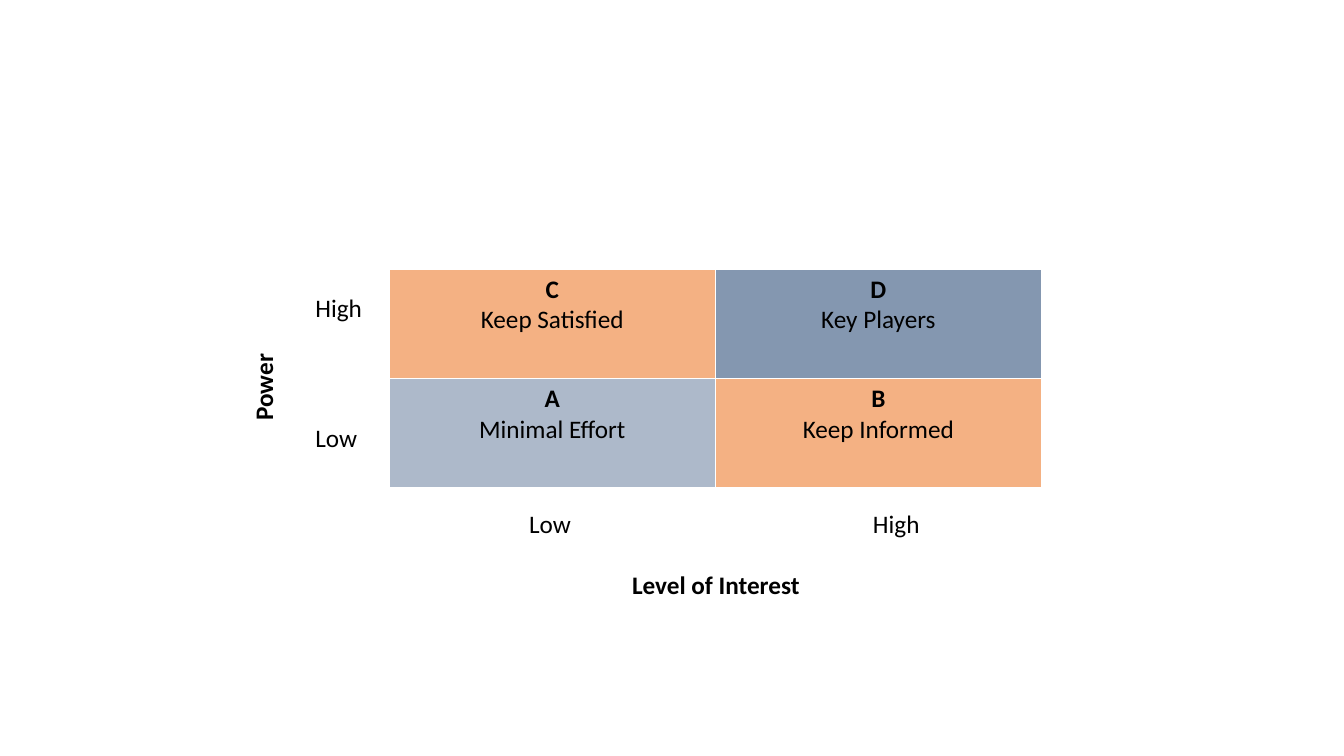
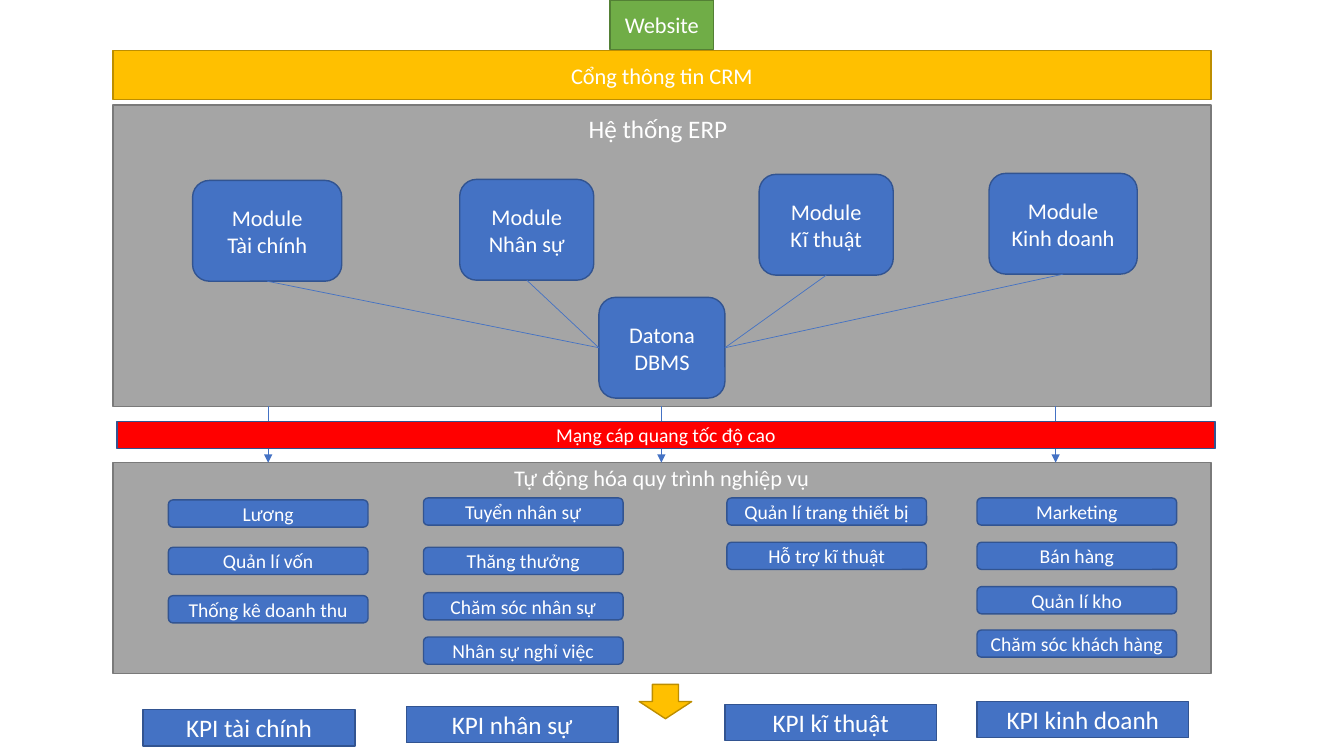
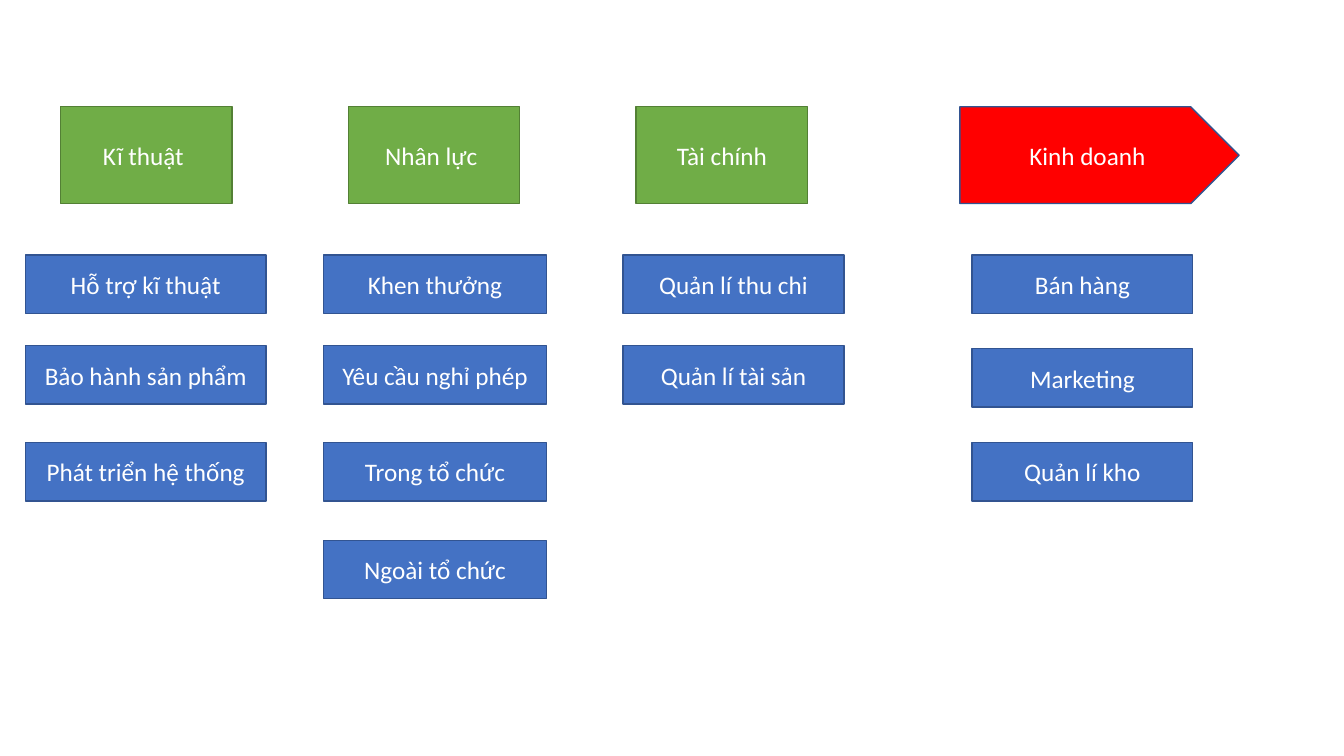
import pptx
import pptx.util
import pptx.dml.color
import pptx.enum.shapes
import pptx.enum.text
import pptx.oxml
import pptx.oxml.ns

Inches, Pt = pptx.util.Inches, pptx.util.Pt
RGBColor = pptx.dml.color.RGBColor
SHAPES = pptx.enum.shapes.MSO_SHAPE
CENTER = pptx.enum.text.PP_ALIGN.CENTER
STRAIGHT = pptx.enum.shapes.MSO_CONNECTOR.STRAIGHT

FONT = "Calibri"
BLACK = RGBColor(0x00, 0x00, 0x00)
WHITE = RGBColor(0xFF, 0xFF, 0xFF)
BLUE = RGBColor(0x44, 0x72, 0xC4)
RED = RGBColor(0xFF, 0x00, 0x00)
GREEN = RGBColor(0x70, 0xAD, 0x47)
GOLD = RGBColor(0xFF, 0xC0, 0x00)
GRAY = RGBColor(0xA5, 0xA5, 0xA5)
ORANGE = RGBColor(0xF4, 0xB1, 0x83)
SLATE = RGBColor(0x84, 0x97, 0xB0)
PALE_SLATE = RGBColor(0xAD, 0xB9, 0xCA)
DARK_BLUE = RGBColor(0x32, 0x54, 0x91)
OUTLINES = {
    BLUE: DARK_BLUE,
    RED: DARK_BLUE,
    GREEN: RGBColor(0x53, 0x80, 0x35),
    GOLD: RGBColor(0xBD, 0x8E, 0x00),
    GRAY: RGBColor(0x7A, 0x7A, 0x7A),
}


def add_box(slide, kind, left, top, width, height, fill, text="", size=18):
    shape = slide.shapes.add_shape(
        kind, Inches(left), Inches(top), Inches(width), Inches(height))
    shape.shadow.inherit = False
    shape.fill.solid()
    shape.fill.fore_color.rgb = fill
    shape.line.color.rgb = OUTLINES[fill]
    shape.line.width = Pt(1)
    shape.text_frame.text = text
    for paragraph in shape.text_frame.paragraphs:
        paragraph.alignment = CENTER
        paragraph.font.name = FONT
        paragraph.font.size = Pt(size)
        paragraph.font.color.rgb = WHITE
    return shape


def add_label(slide, left, top, width, text, color, size=18, bold=False):
    label = slide.shapes.add_textbox(
        Inches(left), Inches(top), Inches(width), Inches(0.4))
    label.text_frame.word_wrap = True
    paragraph = label.text_frame.paragraphs[0]
    paragraph.text = text
    paragraph.font.name = FONT
    paragraph.font.size = Pt(size)
    paragraph.font.bold = bold
    paragraph.font.color.rgb = color
    return label


presentation = pptx.Presentation()
presentation.slide_width = Inches(13.33)
presentation.slide_height = Inches(7.5)
blank_layout = presentation.slide_layouts[6]

# Slide 1: power and interest matrix
slide = presentation.slides.add_slide(blank_layout)
matrix = slide.shapes.add_table(
    2, 2, Inches(3.86), Inches(2.67), Inches(6.47), Inches(2.17)).table
matrix.horz_banding = False
quadrants = [
    [("C", "Keep Satisfied", ORANGE), ("D", "Key Players", SLATE)],
    [("A", "Minimal Effort", PALE_SLATE), ("B", "Keep Informed", ORANGE)],
]
for row, quadrant_row in enumerate(quadrants):
    for column, (letter, strategy, fill) in enumerate(quadrant_row):
        cell = matrix.cell(row, column)
        cell.fill.solid()
        cell.fill.fore_color.rgb = fill
        cell.text = f"{letter}\n{strategy}"
        for paragraph, bold in zip(cell.text_frame.paragraphs, (True, False)):
            paragraph.alignment = CENTER
            paragraph.font.name = FONT
            paragraph.font.size = Pt(18)
            paragraph.font.bold = bold
            paragraph.font.color.rgb = BLACK

# Axis labels
for left, top, width, text in [
    (5.15, 4.99, 0.65, "Low"),
    (8.56, 4.99, 1.09, "High"),
    (3.03, 4.14, 0.65, "Low"),
    (3.03, 2.85, 1.09, "High"),
]:
    add_label(slide, left, top, width, text, BLACK)
add_label(slide, 6.17, 5.6, 4.45, "Level of Interest", BLACK, bold=True)
power_label = add_label(slide, 1.9, 3.36, 1.42, "Power", BLACK, bold=True)
power_label.rotation = 270

# Slide 2: system architecture
slide = presentation.slides.add_slide(blank_layout)
PANEL_LEFT, PANEL_WIDTH = 1.12, 10.89
add_box(slide, SHAPES.RECTANGLE, PANEL_LEFT, 0.5, PANEL_WIDTH, 0.49, GOLD,
        "Cổng thông tin CRM", 16)
add_box(slide, SHAPES.RECTANGLE, 6.05, 0, 1.03, 0.49, GREEN, "Website", 16)
for top, height in [(1.04, 2.99), (4.59, 2.09)]:
    add_box(slide, SHAPES.RECTANGLE, PANEL_LEFT, top, PANEL_WIDTH, height, GRAY)
add_label(slide, 5.74, 1.08, 1.96, "Hệ thống ERP", WHITE)
add_label(slide, 5, 4.56, 3.51, "Tự động hóa quy trình nghiệp vụ", WHITE, 16)

# Modules joined to the sides of the database
BOTTOM_SITE, LEFT_SITE, RIGHT_SITE = 2, 1, 3
connectors = []
database = add_box(slide, SHAPES.ROUNDED_RECTANGLE, 5.94, 2.95, 1.25, 1, BLUE,
                   "Datona\nDBMS", 16)
for left, top, width, name, database_site in [
    (1.91, 1.79, 1.48, "Tài chính", LEFT_SITE),
    (4.56, 1.78, 1.33, "Nhân sự", LEFT_SITE),
    (7.53, 1.73, 1.33, "Kĩ thuật", RIGHT_SITE),
    (9.81, 1.72, 1.47, "Kinh doanh", RIGHT_SITE),
]:
    module = add_box(slide, SHAPES.ROUNDED_RECTANGLE, left, top, width, 1, BLUE,
                     f"Module\n{name}", 16)
    connector = slide.shapes.add_connector(STRAIGHT, 0, 0, 0, 0)
    connector.begin_connect(module, BOTTOM_SITE)
    connector.end_connect(database, database_site)
    connectors.append(connector)

# Arrows from the ERP panel to the automation panel
arrows = [
    slide.shapes.add_connector(
        STRAIGHT, Inches(x), Inches(4.03), Inches(x), Inches(4.59))
    for x in (2.66, 6.56, 10.47)
]
for connector in connectors + arrows:
    connector.line.color.rgb = BLUE
    connector.line.width = Pt(0.5)
    properties = connector._element.spPr
    properties.append(pptx.oxml.parse_xml(
        f"<a:effectLst {pptx.oxml.ns.nsdecls('a')}/>"))
for arrow in arrows:
    arrow.line._get_or_add_ln().append(pptx.oxml.parse_xml(
        f"<a:tailEnd {pptx.oxml.ns.nsdecls('a')} type='triangle'/>"))
add_box(slide, SHAPES.RECTANGLE, 1.16, 4.18, PANEL_WIDTH, 0.27, RED,
        "Mạng cáp quang tốc độ cao", 14)

# Automated processes by department
for left, processes in [
    (1.67, [(4.96, "Lương"), (5.43, "Quản lí vốn"),
            (5.91, "Thống kê doanh thu")]),
    (4.2, [(4.94, "Tuyển nhân sự"), (5.43, "Thăng thưởng"),
           (5.88, "Chăm sóc nhân sự"), (6.32, "Nhân sự nghỉ việc")]),
    (7.21, [(4.94, "Quản lí trang thiết bị"), (5.38, "Hỗ trợ kĩ thuật")]),
    (9.69, [(4.94, "Marketing"), (5.38, "Bán hàng"),
            (5.82, "Quản lí kho"), (6.25, "Chăm sóc khách hàng")]),
]:
    for top, process in processes:
        add_box(slide, SHAPES.ROUNDED_RECTANGLE, left, top, 1.98, 0.27, BLUE,
                process, 14)

# Resulting indicators
add_box(slide, SHAPES.DOWN_ARROW, 6.34, 6.79, 0.52, 0.34, GOLD)
for left, top, name in [
    (1.42, 7.04, "tài chính"),
    (4.03, 7.01, "nhân sự"),
    (7.19, 6.99, "kĩ thuật"),
    (9.69, 6.96, "kinh doanh"),
]:
    add_box(slide, SHAPES.RECTANGLE, left, top, 2.1, 0.36, BLUE, f"KPI {name}")

# Slide 3: departments and their tasks
slide = presentation.slides.add_slide(blank_layout)
for column, department in enumerate(["Kĩ thuật ", "Nhân lực ", "Tài chính"]):
    add_box(slide, SHAPES.RECTANGLE, 0.6 + column * 2.855, 1.06, 1.7, 0.96,
            GREEN, department)
add_box(slide, SHAPES.PENTAGON, 9.52, 1.06, 2.77, 0.96, RED, "Kinh doanh")

TASK_TOPS = [2.53, 3.43, 4.39, 5.36]
for left, width, tops, tasks in [
    (0.25, 2.39, TASK_TOPS,
     ["Hỗ trợ kĩ thuật", "Bảo hành sản phẩm", "Phát triển hệ thống"]),
    (3.21, 2.21, TASK_TOPS,
     ["Khen thưởng", "Yêu cầu nghỉ phép", "Trong tổ chức", "Ngoài tổ chức"]),
    (6.18, 2.19, TASK_TOPS, ["Quản lí thu chi", "Quản lí tài sản"]),
    (9.64, 2.19, [2.53, 3.46, 4.39], ["Bán hàng", "Marketing", "Quản lí kho"]),
]:
    for top, task in zip(tops, tasks):
        add_box(slide, SHAPES.RECTANGLE, left, top, width, 0.58, BLUE, task)

presentation.save("out.pptx")
